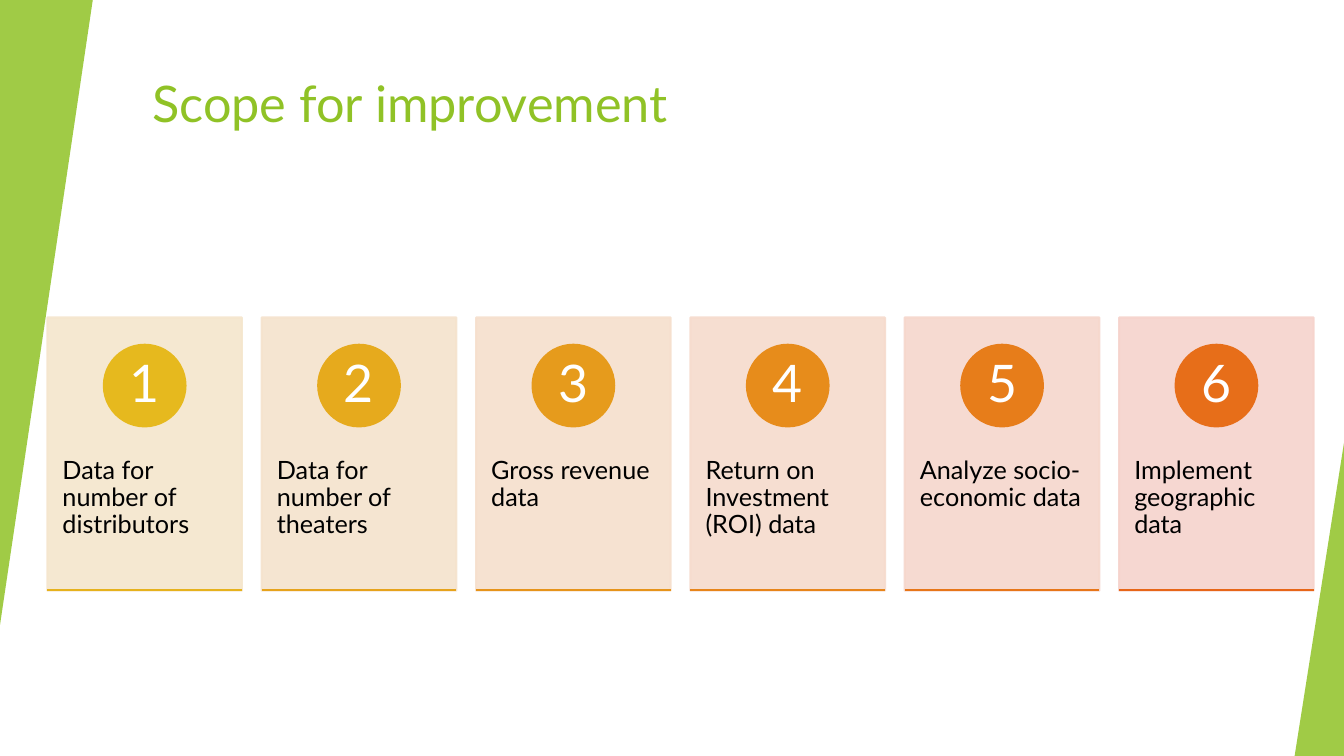
"""Build the numbered-card slide on scope for improvement."""

from dataclasses import dataclass

from lxml.etree import SubElement
from pptx import Presentation
from pptx.dml.color import RGBColor
from pptx.enum.shapes import MSO_CONNECTOR, MSO_SHAPE
from pptx.enum.text import MSO_ANCHOR, MSO_AUTO_SIZE, PP_ALIGN
from pptx.oxml.ns import qn
from pptx.shapes.autoshape import Shape
from pptx.slide import Slide
from pptx.text.text import TextFrame
from pptx.util import Inches, Pt


@dataclass(frozen=True)
class Theme:
    font: str = "Lato"
    green: str = "90C226"
    white: str = "FFFFFF"
    black: str = "000000"
    title_size: int = 36
    body_size: int = 18
    number_size: int = 37
    line_width: float = 1.5


@dataclass(frozen=True)
class Wedge:
    left: float
    top: float
    width: float
    height: float
    rotation: int


@dataclass(frozen=True)
class Card:
    text: str
    panel: str
    badge: str
    rule: str


THEME = Theme()
WEDGES = [Wedge(0, 0, 0.92, 6.2, 180), Wedge(12.84, 4.39, 0.49, 3.11, 0)]
CARDS = [
    Card("Data for number of distributors", "F5E6CD", "E6B91E", "E6B21D"),
    Card("Data for number of theaters", "F5E3CD", "E6AA1D", "E6A31C"),
    Card("Gross revenue data", "F6DFCD", "E69B1C", "E6941B"),
    Card("Return on Investment (ROI) data", "F6DBCD", "E78C1B", "E7851A"),
    Card("Analyze socio-economic data", "F6D7CC", "E77D1A", "E77619"),
    Card("Implement geographic data", "F6D3CC", "E76E19", "E76618"),
]
FIRST_LEFT, LAST_LEFT = 0.47, 11.1
PITCH = (LAST_LEFT - FIRST_LEFT) / (len(CARDS) - 1)
CARD_TOP, CARD_WIDTH, CARD_HEIGHT = 3.15, 1.93, 2.71
TEXT_TOP, TEXT_HEIGHT = 4.18, 1.62
BADGE_TOP, BADGE_SIZE = 3.42, 0.81
RULE_TOP = 5.85


def write_text(
    frame: TextFrame,
    text: str,
    *,
    size: int,
    color: str,
    align: PP_ALIGN = PP_ALIGN.LEFT,
    anchor: MSO_ANCHOR = MSO_ANCHOR.TOP,
    spacing: float = 1.0,
    inset_x: float = 0.1,
    inset_y: float = 0.05,
) -> None:
    frame.word_wrap = True
    frame.auto_size = MSO_AUTO_SIZE.NONE
    frame.vertical_anchor = anchor
    frame.margin_left = frame.margin_right = Inches(inset_x)
    frame.margin_top = frame.margin_bottom = Inches(inset_y)
    para = frame.paragraphs[0]
    para.alignment = align
    para.line_spacing = spacing
    span = para.add_run()
    span.text = text
    span.font.name = THEME.font
    span.font.size = Pt(size)
    span.font.color.rgb = RGBColor.from_string(color)


def add_block(
    page: Slide,
    kind: MSO_SHAPE,
    left: float,
    top: float,
    width: float,
    height: float,
    *,
    color: str,
    opacity: int = 100,
    outlined: bool = True,
) -> Shape:
    block = page.shapes.add_shape(
        kind, Inches(left), Inches(top), Inches(width), Inches(height)
    )
    block.shadow.inherit = False
    block.fill.solid()
    block.fill.fore_color.rgb = RGBColor.from_string(color)
    if outlined:
        block.line.color.rgb = RGBColor.from_string(color)
        block.line.width = Pt(THEME.line_width)
    else:
        block.line.fill.background()
    if opacity < 100:
        for tint in block._element.spPr.iter(qn("a:srgbClr")):
            SubElement(tint, qn("a:alpha")).set("val", str(opacity * 1000))
    return block


def add_wedge(page: Slide, wedge: Wedge) -> None:
    block = add_block(
        page, MSO_SHAPE.ISOSCELES_TRIANGLE,
        wedge.left, wedge.top, wedge.width, wedge.height,
        color=THEME.green, opacity=85, outlined=False,
    )
    block.adjustments[0] = 1.0
    block.rotation = wedge.rotation


def add_rule(page: Slide, left: float, color: str) -> None:
    rule = page.shapes.add_connector(
        MSO_CONNECTOR.STRAIGHT,
        Inches(left), Inches(RULE_TOP),
        Inches(left + CARD_WIDTH), Inches(RULE_TOP),
    )
    rule.line.color.rgb = RGBColor.from_string(color)
    rule.line.width = Pt(THEME.line_width)
    SubElement(rule._element.spPr, qn("a:effectLst"))


def add_card(page: Slide, card: Card, number: int, left: float) -> None:
    add_block(
        page, MSO_SHAPE.RECTANGLE, left, CARD_TOP, CARD_WIDTH, CARD_HEIGHT,
        color=card.panel, opacity=90,
    )
    box = page.shapes.add_textbox(
        Inches(left), Inches(TEXT_TOP), Inches(CARD_WIDTH), Inches(TEXT_HEIGHT)
    )
    write_text(
        box.text_frame, card.text, size=THEME.body_size, color=THEME.black,
        spacing=0.9, inset_x=0.15, inset_y=0.36,
    )
    badge = add_block(
        page, MSO_SHAPE.OVAL, left + (CARD_WIDTH - BADGE_SIZE) / 2, BADGE_TOP,
        BADGE_SIZE, BADGE_SIZE, color=card.badge,
    )
    write_text(
        badge.text_frame, str(number), size=THEME.number_size, color=THEME.white,
        align=PP_ALIGN.CENTER, anchor=MSO_ANCHOR.MIDDLE,
        spacing=0.9, inset_x=0.06, inset_y=0.01,
    )
    add_rule(page, left, card.rule)


def main() -> None:
    deck = Presentation()
    deck.slide_width, deck.slide_height = Inches(13.33), Inches(7.5)
    page = deck.slides.add_slide(deck.slide_layouts.get_by_name("Title Only"))
    page.background.fill.solid()
    page.background.fill.fore_color.rgb = RGBColor.from_string(THEME.white)
    for wedge in WEDGES:
        add_wedge(page, wedge)
    title = page.shapes.title
    title.left, title.top = Inches(1.41), Inches(0.67)
    title.width, title.height = Inches(11.15), Inches(1.2)
    write_text(
        title.text_frame, "Scope for improvement",
        size=THEME.title_size, color=THEME.green,
    )
    for index, card in enumerate(CARDS):
        add_card(page, card, index + 1, FIRST_LEFT + index * PITCH)
    deck.save("out.pptx")


if __name__ == "__main__":
    main()
